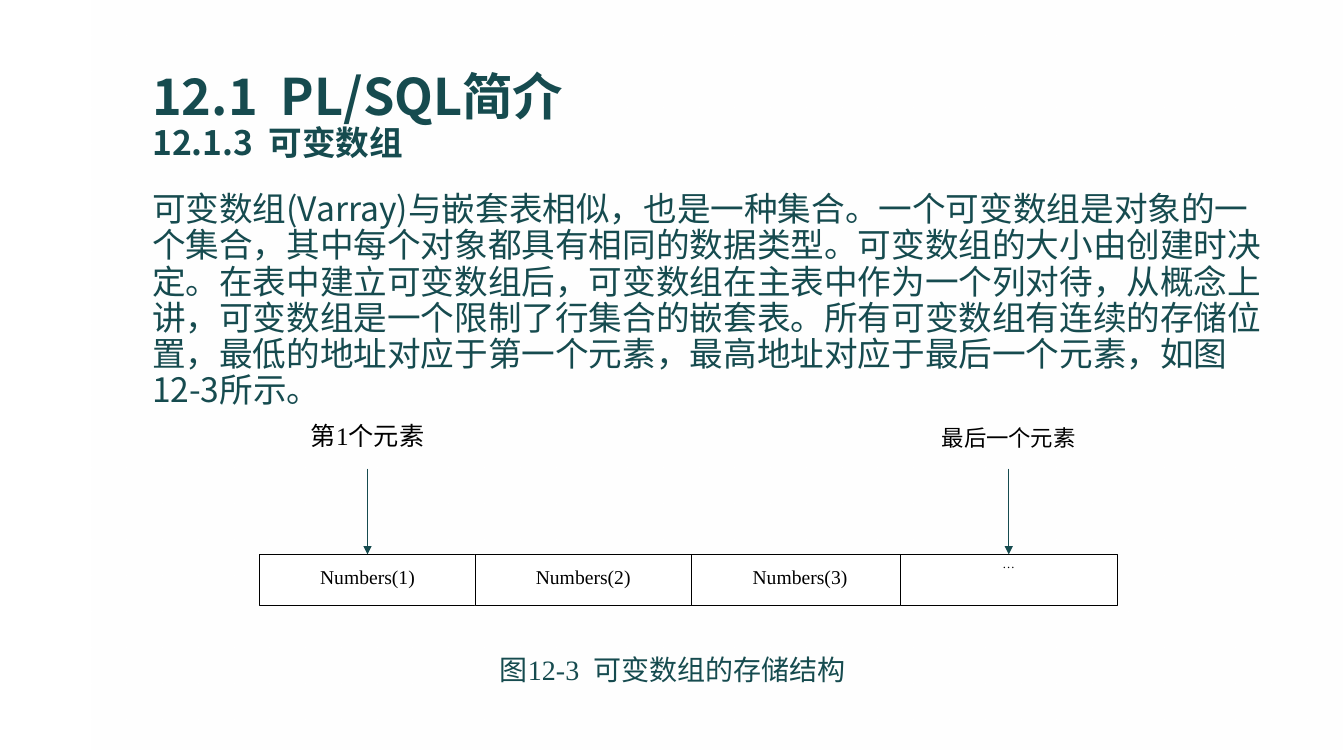
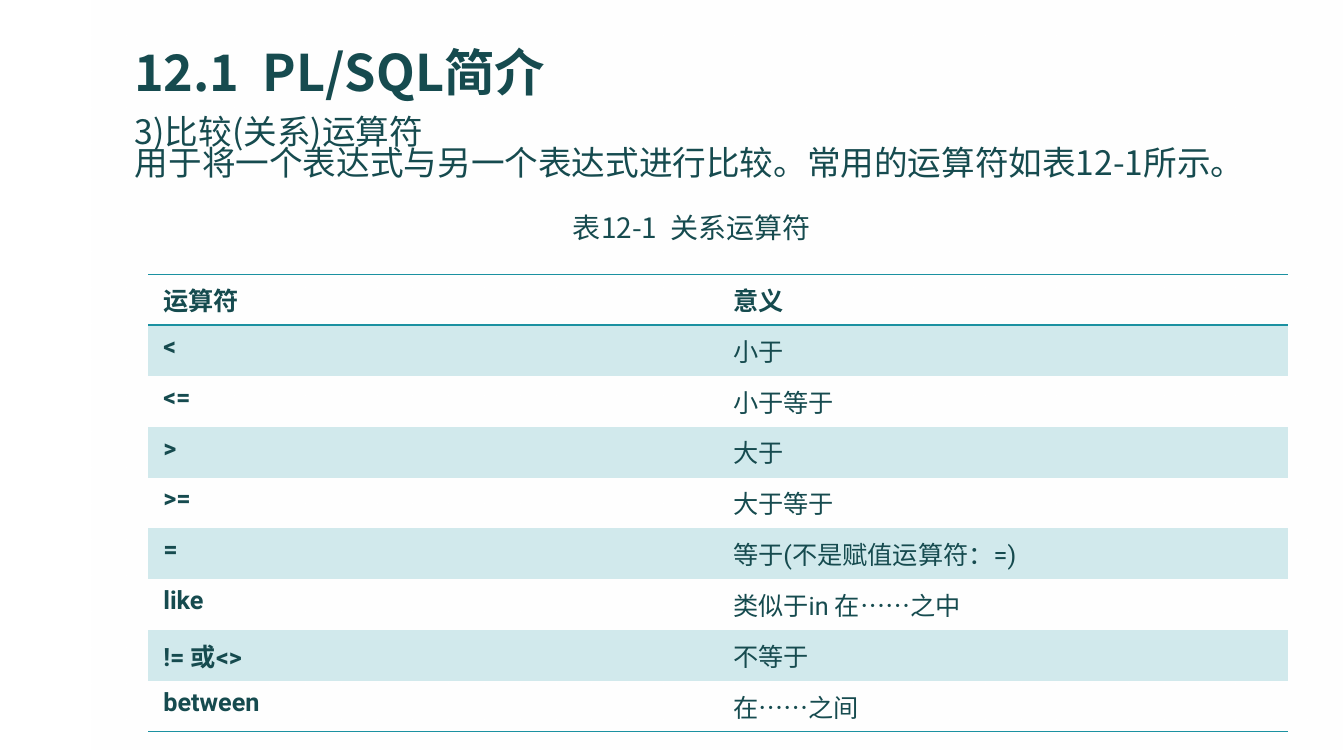
import dataclasses

import pptx
import pptx.dml.color
import pptx.enum.shapes
import pptx.enum.text
import pptx.oxml
import pptx.oxml.ns
import pptx.util
from pptx.util import Inches

Pt = pptx.util.Pt
RGB = pptx.dml.color.RGBColor.from_string
Align = pptx.enum.text.PP_ALIGN
Anchor = pptx.enum.text.MSO_ANCHOR
RECTANGLE = pptx.enum.shapes.MSO_SHAPE.RECTANGLE
NO_STYLE = "{2D5ABB26-0587-4C30-8999-92F81FD0307C}"


@dataclasses.dataclass(frozen=True)
class Theme:
    """Colours, fonts and type sizes shared by the slides."""
    ink: str = "164B4F"
    accent: str = "1B91A1"
    band: str = "D1E9EC"
    black: str = "000000"
    white: str = "FFFFFF"
    sans: str = "Noto Sans CJK SC"
    serif: str = "Times New Roman"
    table: str = "Roboto"
    title: int = 36
    body: int = 24
    caption: int = 20
    label: int = 18
    small_label: int = 16
    cell: int = 14
    ellipsis: int = 9
    thin: float = 0.5
    rule: float = 1


T = Theme()


def style(p, size, font=T.sans, color=T.ink, bold=False):
    """Format every run of a paragraph, East Asian font included."""
    for r in p.runs:
        r.font.size = Pt(size)
        r.font.name = font
        r.font.bold = bold
        r.font.color.rgb = RGB(color)
        ea = pptx.oxml.parse_xml(f'<a:ea {pptx.oxml.ns.nsdecls("a")} typeface="{T.sans}"/>')
        r.font._element.append(ea)


def add_master_panel(prs, s, box):
    """Put a translucent white panel at the back of the slide master."""
    sp = s.shapes.add_shape(RECTANGLE, *map(Inches, box))
    sp.shadow.inherit = False
    sp.line.fill.background()
    sp.fill.gradient()
    sp.fill.gradient_angle = 270
    for stop, alpha in zip(sp.fill.gradient_stops, (60000, 0)):
        stop.color.rgb = RGB(T.white)
        color = stop._gs.find(pptx.oxml.ns.qn("a:srgbClr"))
        color.append(pptx.oxml.parse_xml(
            f'<a:alpha {pptx.oxml.ns.nsdecls("a")} val="{alpha}"/>'))
    prs.slide_master.shapes._spTree.insert(2, sp._element)


def add_title(s, box, lines):
    """Place the title placeholder; each line is a text and its size."""
    sp = s.shapes.title
    sp.left, sp.top, sp.width, sp.height = map(Inches, box)
    tf = sp.text_frame
    tf.text = "\n".join(text for text, _ in lines)
    tf.word_wrap = True
    tf.auto_size = pptx.enum.text.MSO_AUTO_SIZE.NONE
    tf.vertical_anchor = Anchor.BOTTOM
    for p, (_, size) in zip(tf.paragraphs, lines):
        p.alignment = Align.LEFT
        p.line_spacing = 0.9
        style(p, size, bold=True)


def add_text(s, box, text):
    """Add a wrapping text box and return it."""
    sp = s.shapes.add_textbox(*map(Inches, box))
    sp.text_frame.text = text
    sp.text_frame.word_wrap = True
    return sp


def set_label(sp, size, inset):
    """Centre a one-line diagram label below the given top inset."""
    tf = sp.text_frame
    tf.word_wrap = True
    tf.vertical_anchor = Anchor.TOP
    tf.margin_top, tf.margin_bottom = Pt(inset), 0
    p = tf.paragraphs[0]
    p.alignment = Align.CENTER
    p.line_spacing = Pt(12)
    style(p, size, T.serif, T.black)


def add_arrow(s, start, end):
    """Join the bottom of one shape to the top of another with an arrow."""
    sp = s.shapes.add_connector(pptx.enum.shapes.MSO_CONNECTOR.STRAIGHT, 0, 0, 0, 0)
    sp.begin_connect(start, 2)
    sp.end_connect(end, 0)
    sp.line.color.rgb = RGB(T.ink)
    sp.line.width = Pt(T.thin)
    ns = pptx.oxml.ns.nsdecls("a")
    sp.line._get_or_add_ln().append(pptx.oxml.parse_xml(f'<a:tailEnd {ns} type="triangle"/>'))
    sp._element.spPr.append(pptx.oxml.parse_xml(f"<a:effectLst {ns}/>"))


def add_array(s, left, top):
    """Draw the array cells with labelled arrows to the first and last."""
    width, height, cells_top = 2.15, 0.51, top + 1.36
    cells = []
    for dx, text in ((0, "Numbers(1)"), (2.14, "Numbers(2)"),
                     (4.29, "Numbers(3)"), (6.36, "…")):
        sp = s.shapes.add_shape(RECTANGLE,
                                *map(Inches, (left + dx, cells_top, width, height)))
        sp.shadow.inherit = False
        sp.fill.solid()
        sp.fill.fore_color.rgb = RGB(T.white)
        sp.line.color.rgb = RGB(T.black)
        sp.line.width = Pt(T.thin)
        sp.text_frame.text = text
        last = text == "…"
        set_label(sp, T.ellipsis if last else T.cell, 0 if last else 12)
        cells.append(sp)
    for cell, text, size, w in ((cells[0], "第1个元素", T.label, width),
                                (cells[-1], "最后一个元素", T.small_label, 2.36)):
        x = (cell.left + cell.width / 2) / Inches(1) - w / 2
        label = add_text(s, (x, top, w, height), text)
        set_label(label, size, 12)
        add_arrow(s, label, cell)


def add_borders(cell, sides):
    """Rule the named sides (T, B) of a table cell."""
    for side in sides:
        cell._tc.get_or_add_tcPr().append(pptx.oxml.parse_xml(
            f'<a:ln{side} {pptx.oxml.ns.nsdecls("a")} w="{Pt(T.rule)}"><a:solidFill>'
            f'<a:srgbClr val="{T.accent}"/></a:solidFill></a:ln{side}>'))


def add_operator_table(s, box, rows):
    """Add a banded table with ruled header and bottom edge."""
    frame = s.shapes.add_table(len(rows), len(rows[0]), *map(Inches, box))
    tbl = frame.table
    tbl.first_row = tbl.horz_banding = False
    tbl._tbl.tblPr.find(pptx.oxml.ns.qn("a:tableStyleId")).text = NO_STYLE
    for i, row in enumerate(rows):
        for j, text in enumerate(row):
            cell = tbl.cell(i, j)
            cell.text = text
            cell.margin_left = cell.margin_right = Inches(0.15)
            cell.margin_top = cell.margin_bottom = Inches(0.07)
            style(cell.text_frame.paragraphs[0], T.label, T.table, bold=i == 0 or j == 0)
            add_borders(cell, "TB" if i == 0 else "B" if i == len(rows) - 1 else "")
            if i % 2:
                cell.fill.solid()
                cell.fill.fore_color.rgb = RGB(T.band)
            else:
                cell.fill.background()


def build_varray(s):
    """Build the slide on variable arrays."""
    add_title(s, (1.41, 0.41, 10.5, 1.25),
              [("12.1  PL/SQL简介", T.title), ("12.1.3  可变数组", T.body)])
    body = add_text(s, (1.41, 1.86, 11.26, 2.28),
                    "可变数组(Varray)与嵌套表相似，也是一种集合。一个可变数组是对象的一个集合，"
                    "其中每个对象都具有相同的数据类型。可变数组的大小由创建时决定。"
                    "在表中建立可变数组后，可变数组在主表中作为一个列对待，从概念上讲，"
                    "可变数组是一个限制了行集合的嵌套表。所有可变数组有连续的存储位置，"
                    "最低的地址对应于第一个元素，最高地址对应于最后一个元素，如图12-3所示。")
    p = body.text_frame.paragraphs[0]
    p.line_spacing = 0.9
    style(p, T.body)
    add_array(s, 2.57, 4.14)
    caption = add_text(s, (4.86, 6.42, 3.66, 0.44), "图12-3  可变数组的存储结构")
    style(caption.text_frame.paragraphs[0], T.caption, T.serif)


def build_operators(s):
    """Build the slide on comparison operators."""
    add_title(s, (1.23, 0.21, 10.5, 0.86), [("12.1  PL/SQL简介", T.title)])
    body = add_text(s, (1.24, 1.37, 11.24, 1.2),
                    "3)比较(关系)运算符\n"
                    "用于将一个表达式与另一个表达式进行比较。常用的运算符如表12-1所示。\n"
                    "表12-1  关系运算符")
    for p, before, size in zip(body.text_frame.paragraphs, (0, 16, 38),
                               (T.body, T.body, T.caption)):
        p.line_spacing = Pt(6)
        p.space_before = Pt(before)
        style(p, size)
    p.alignment = Align.CENTER
    add_operator_table(s, (1.47, 2.72, 11.3, 4.54), [
        ("运算符", "意义"),
        ("<", "小于"),
        ("<=", "小于等于"),
        (">", "大于"),
        (">=", "大于等于"),
        ("=", "等于(不是赋值运算符：=)"),
        ("like", "类似于in 在……之中"),
        ("!= 或<>", "不等于"),
        ("between", "在……之间"),
    ])


def main():
    """Build and save the presentation."""
    prs = pptx.Presentation()
    prs.slide_width, prs.slide_height = Inches(13.33), Inches(7.5)
    for build in (build_varray, build_operators):
        build(prs.slides.add_slide(prs.slide_layouts[5]))
    add_master_panel(prs, prs.slides[0], (0.91, 0, 12.41, 7.5))
    prs.save("out.pptx")


if __name__ == "__main__":
    main()
